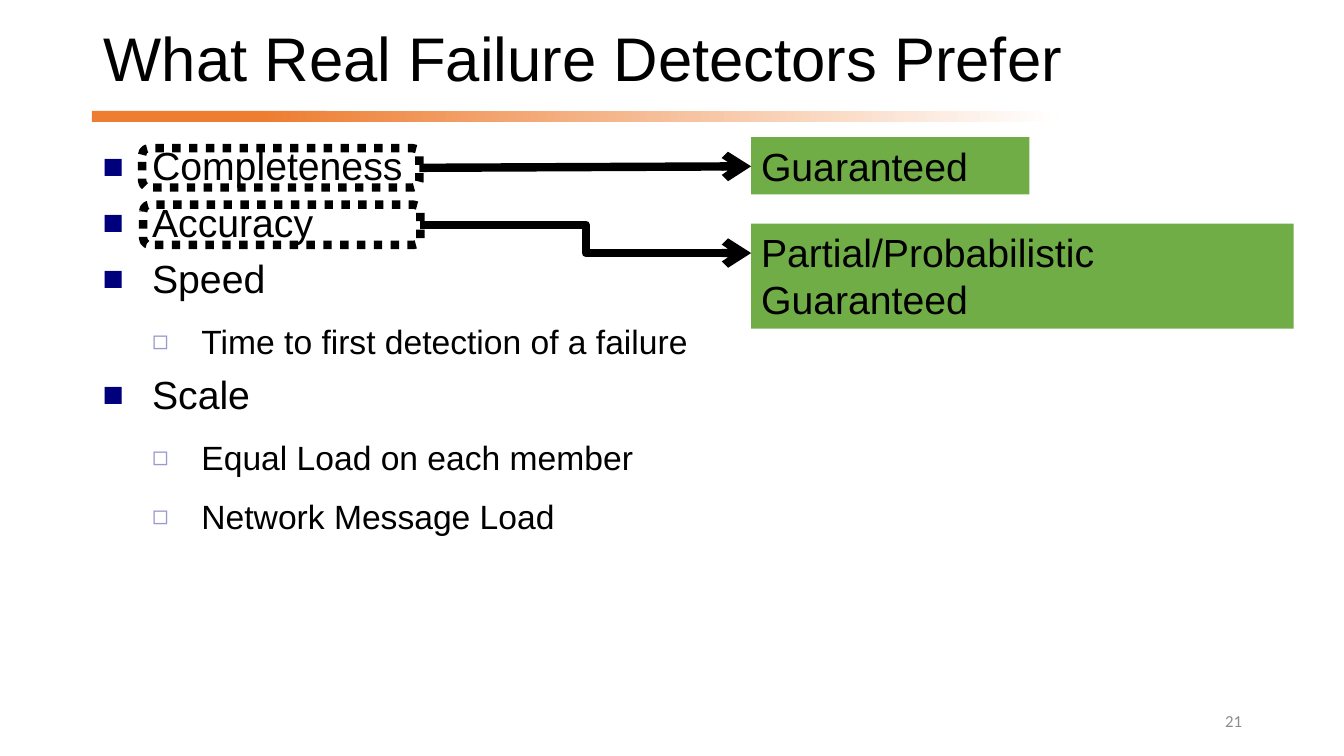
import pptx
import pptx.util
import pptx.dml.color
import pptx.enum.dml
import pptx.enum.shapes
import pptx.enum.text
import pptx.oxml
import pptx.oxml.ns

TITLE = "What Real Failure Detectors Prefer"
POINTS = [
    (0, "Completeness"),
    (0, "Accuracy"),
    (0, "Speed"),
    (1, "Time to first detection of a failure"),
    (0, "Scale"),
    (1, "Equal Load on each member"),
    (1, "Network Message Load"),
]
LEVELS = [
    {"size": 28, "spacing": 0.9, "before": 10, "bullet": "■", "color": "00007D", "percent": 90},
    {"size": 24, "spacing": 1.3, "before": 5, "bullet": "◻", "color": "9999CC", "percent": 80},
]
PAGE_NUMBER = "21"

SIZE = (13.33, 7.5)
INDENT = 0.49
TITLE_AREA = (6.98, 2.27, 83.57, 11.87)
BODY_AREA = (6.9, 18.8, 86.27, 71.6)
NUMBER_AREA = (70.67, 92.67, 22.5, 5.33)
RULE_SOLID = (6.83, 14.67, 17.48, 1.47)
RULE_FADE = (19.28, 14.67, 59.41, 1.47)
KINDS = pptx.enum.shapes.MSO_CONNECTOR
CALLOUTS = [
    {"text": "Guaranteed", "outline": (10.58, 19.6, 20.63, 5.2),
     "answer": (55.89, 18.13, 20.71, 7.6), "kind": KINDS.STRAIGHT, "arrow_end": 22},
    {"text": "Partial/Probabilistic Guaranteed", "outline": (10.65, 27.07, 20.63, 5.33),
     "answer": (55.89, 29.6, 40.36, 13.87), "kind": KINDS.ELBOW, "arrow_end": 33.47},
]
ORANGE, GREEN, BLACK, GRAY, WHITE = "ED7D31", "70AD47", "000000", "8C8C8C", "FFFFFF"

ALIGN = pptx.enum.text.PP_ALIGN
MIDDLE = pptx.enum.text.MSO_ANCHOR.MIDDLE
TOP = pptx.enum.text.MSO_ANCHOR.TOP
NO_FIT = pptx.enum.text.MSO_AUTO_SIZE.NONE
SHAPES = pptx.enum.shapes.MSO_SHAPE


def rgb(value):
    return pptx.dml.color.RGBColor.from_string(value)


def place(*shares):
    return [pptx.util.Inches(share / 100 * SIZE[index % 2]) for index, share in enumerate(shares)]


def assign(target, values):
    for name, value in values.items():
        setattr(target, name, value)


def add_xml(parent, tag, **attributes):
    child = pptx.oxml.parse_xml(f"<a:{tag} {pptx.oxml.ns.nsdecls('a')}/>")
    for name, value in attributes.items():
        child.set(name, value)
    parent.append(child)
    return child


def write(para, text, size, font="Arial", color=BLACK, **paragraph_format):
    assign(para, paragraph_format)
    span = para.add_run()
    span.text = text
    assign(span.font, {"name": font, "size": pptx.util.Pt(size)})
    span.font.color.rgb = rgb(color)


def add_text_area(page, area, anchor):
    frame = page.shapes.add_textbox(*place(*area)).text_frame
    assign(frame, {"word_wrap": True, "vertical_anchor": anchor, "auto_size": NO_FIT})
    return frame


def add_box(page, area, fill=None, preset=SHAPES.RECTANGLE):
    box = page.shapes.add_shape(preset, *place(*area))
    box.shadow.inherit = False
    box.line.fill.background()
    if fill:
        box.fill.solid()
        box.fill.fore_color.rgb = rgb(fill)
    else:
        box.fill.background()
    return box


def stroke(line):
    line.color.rgb = rgb(BLACK)
    line.width = pptx.util.Pt(6)


def add_rule(page):
    add_box(page, RULE_SOLID, ORANGE)
    fade = add_box(page, RULE_FADE).fill
    fade.gradient()
    fade.gradient_angle = 0
    for stop, color in zip(fade.gradient_stops, (ORANGE, WHITE)):
        stop.color.rgb = rgb(color)


def add_title(page):
    title = page.shapes.title
    assign(title, dict(zip(("left", "top", "width", "height"), place(*TITLE_AREA))))
    assign(title.text_frame, {"word_wrap": True, "vertical_anchor": MIDDLE, "auto_size": NO_FIT})
    write(title.text_frame.paragraphs[0], TITLE, 44, alignment=ALIGN.LEFT, line_spacing=0.9)


def add_points(page):
    frame = add_text_area(page, BODY_AREA, TOP)
    for index, (level, text) in enumerate(POINTS):
        style = LEVELS[level]
        para = frame.add_paragraph() if index else frame.paragraphs[0]
        write(para, text, style["size"], level=level, line_spacing=style["spacing"],
              space_before=pptx.util.Pt(style["before"]))
        properties = para._p.get_or_add_pPr()
        properties.set("marL", str(pptx.util.Inches(INDENT * (level + 1))))
        properties.set("indent", str(pptx.util.Inches(-INDENT)))
        add_xml(add_xml(properties, "buClr"), "srgbClr", val=style["color"])
        add_xml(properties, "buSzPct", val=str(style["percent"] * 1000))
        add_xml(properties, "buFont", typeface="Arial")
        add_xml(properties, "buChar", char=style["bullet"])


def add_callout(page, callout):
    outline = add_box(page, callout["outline"], preset=SHAPES.ROUNDED_RECTANGLE)
    stroke(outline.line)
    outline.line.dash_style = pptx.enum.dml.MSO_LINE.ROUND_DOT

    answer = add_box(page, callout["answer"], GREEN)
    assign(answer.text_frame, {"word_wrap": True, "vertical_anchor": TOP,
                               "auto_size": pptx.enum.text.MSO_AUTO_SIZE.SHAPE_TO_FIT_TEXT})
    write(answer.text_frame.paragraphs[0], callout["text"], 28, alignment=ALIGN.LEFT)

    left, top, width, height = callout["outline"]
    start = (left + width, top + height / 2)
    end = (callout["answer"][0], callout["arrow_end"])
    arrow = page.shapes.add_connector(callout["kind"], *place(*start, *end))
    stroke(arrow.line)
    add_xml(arrow.line._get_or_add_ln(), "tailEnd", type="arrow")
    add_xml(arrow._element.spPr, "effectLst")


def main():
    deck = pptx.Presentation()
    deck.slide_width, deck.slide_height = place(100, 100)
    page = deck.slides.add_slide(deck.slide_layouts[5])
    add_rule(page)
    add_title(page)
    number = add_text_area(page, NUMBER_AREA, MIDDLE)
    write(number.paragraphs[0], PAGE_NUMBER, 12, "Calibri", GRAY, alignment=ALIGN.RIGHT)
    add_points(page)
    for callout in CALLOUTS:
        add_callout(page, callout)
    deck.save("out.pptx")


if __name__ == "__main__":
    main()
